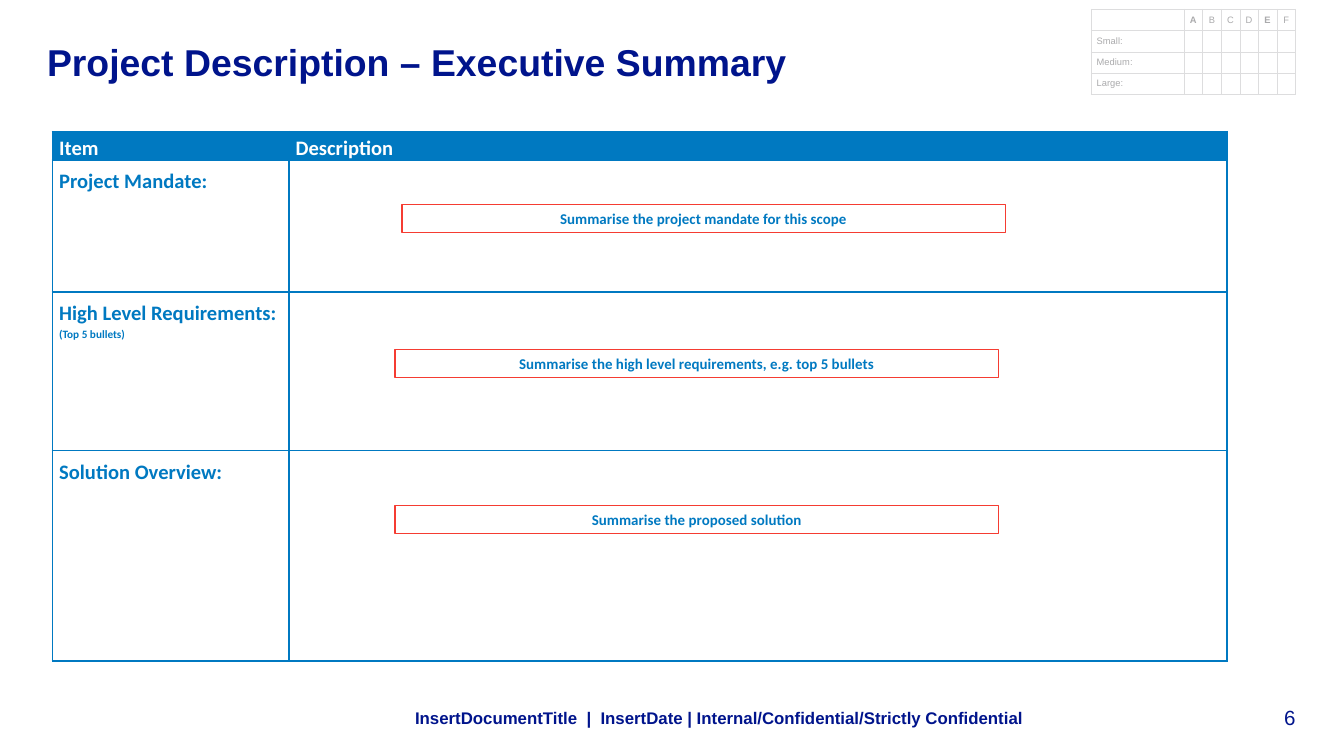
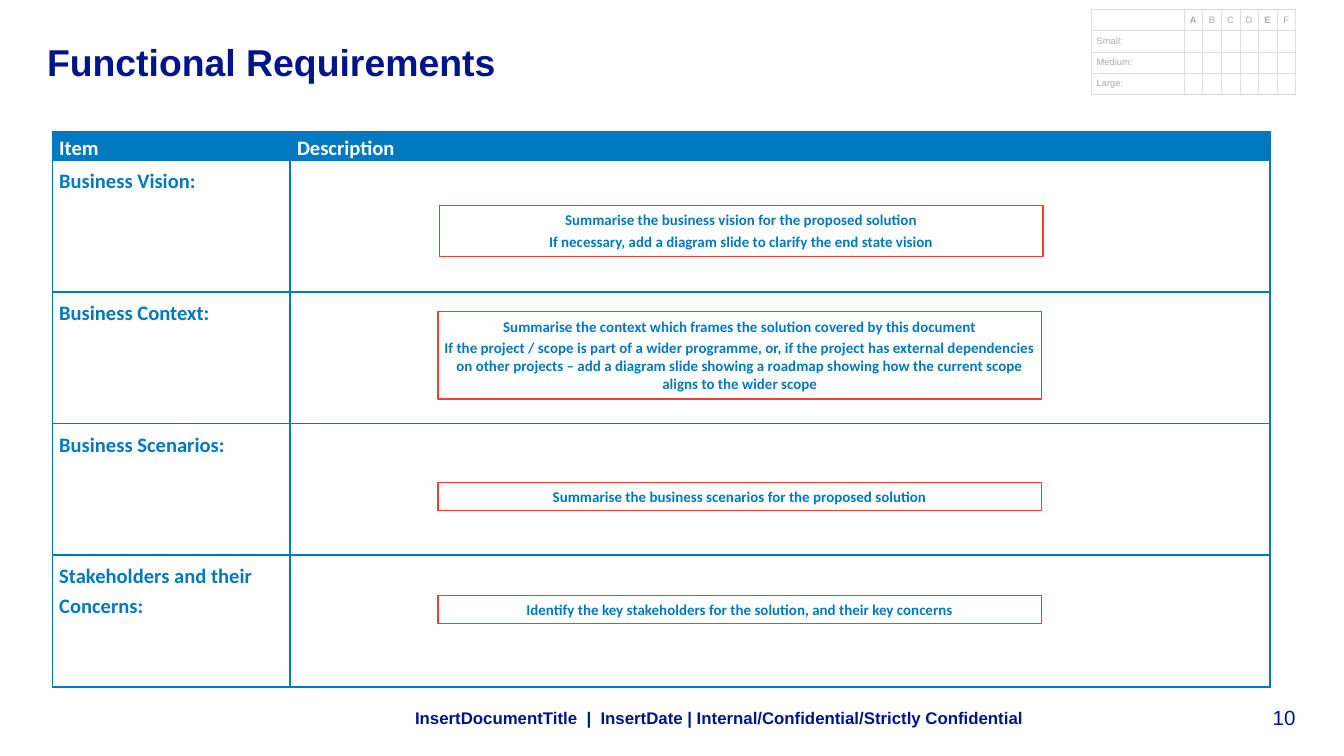
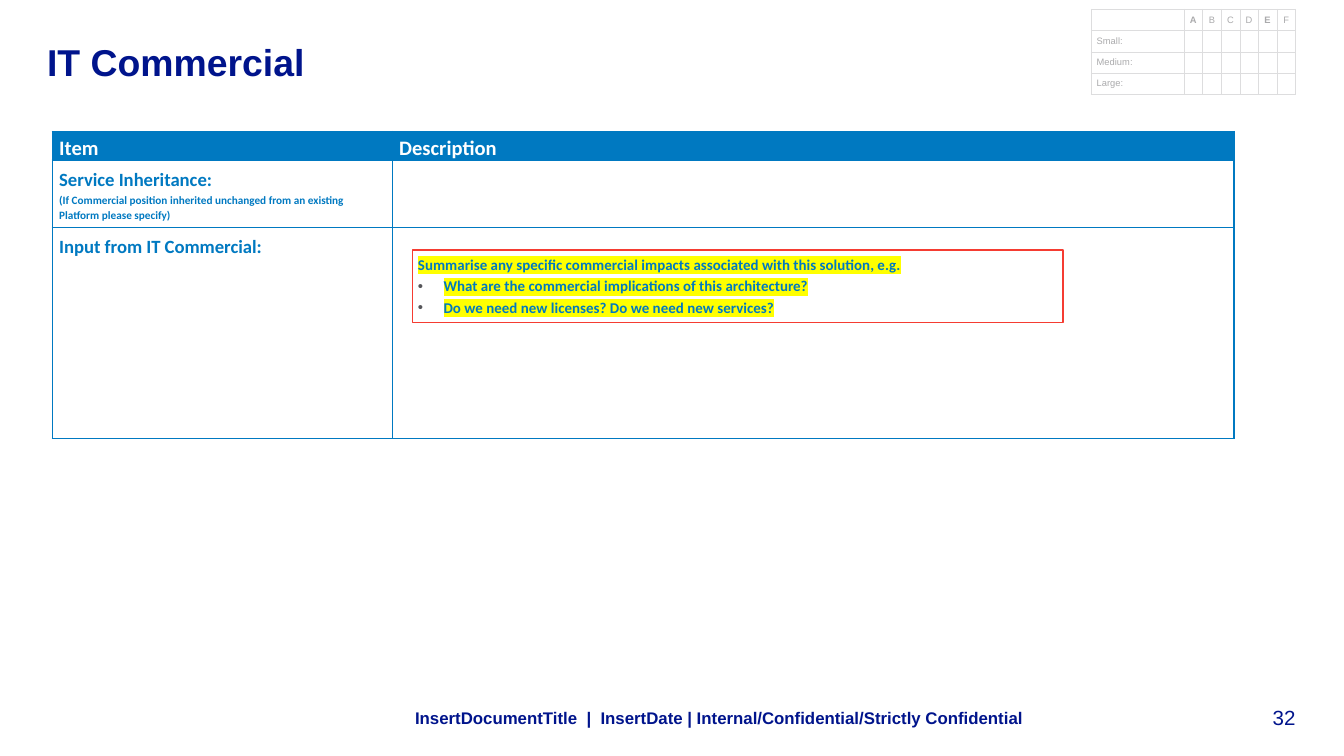
"""Build three project summary slides with shared titles, size grids and footers."""
from dataclasses import dataclass

from lxml import etree
from pptx import Presentation
from pptx.dml.color import RGBColor
from pptx.enum.shapes import MSO_SHAPE
from pptx.enum.text import MSO_ANCHOR, MSO_AUTO_SIZE, PP_ALIGN
from pptx.oxml.ns import qn
from pptx.util import Inches, Pt

RECTANGLE = MSO_SHAPE.RECTANGLE
TOP, MIDDLE, BOTTOM = MSO_ANCHOR.TOP, MSO_ANCHOR.MIDDLE, MSO_ANCHOR.BOTTOM
LEFT, CENTER, RIGHT = PP_ALIGN.LEFT, PP_ALIGN.CENTER, PP_ALIGN.RIGHT
FIT_SHAPE = MSO_AUTO_SIZE.SHAPE_TO_FIT_TEXT

COLORS = {
    "navy": "00148C",
    "blue": "0079C1",
    "red": "F53C32",
    "white": "FFFFFF",
    "grid": "DDDDDE",
    "grid_text": "AAAAAC",
    "bullet": "55555A",
    "yellow": "FFFF00",
}
HEADING_FONT, BODY_FONT = "Arial", "Calibri"
FOOTER = "InsertDocumentTitle  |  InsertDate | Internal/Confidential/Strictly Confidential"
GRID_LETTERS = "ABCDEF"
GRID_BOLD = "AE"
GRID_SIZES = ("Small:", "Medium:", "Large:")
GRID_WIDTH, GRID_HEIGHT, GRID_LABEL_WIDTH = 1.52, 0.63, 0.69


@dataclass(frozen=True)
class Style:
    """Font and paragraph settings."""
    size: float
    color: str
    font: str = BODY_FONT
    bold: bool = True
    align: PP_ALIGN = LEFT
    after: float | None = None
    spacing: float | None = None


@dataclass(frozen=True)
class Item:
    """A table row with its label, an optional small hint and a height."""
    label: str
    height: float
    hint: str = ""
    size: float = 11
    hint_on_new_paragraph: bool = True


@dataclass(frozen=True)
class Note:
    """A red-framed guidance box."""
    left: float
    top: float
    height: float
    lines: tuple[str, ...]
    width: float = 4.49
    bulleted: bool = False


@dataclass(frozen=True)
class Page:
    """The content of one slide."""
    title: str
    number: int
    table_width: float
    table_height: float
    label_width: float
    items: tuple[Item, ...]
    notes: tuple[Note, ...]
    header_height: float = 0.19


TITLE_STYLE = Style(20, "navy", HEADING_FONT)
FOOTER_STYLE = Style(9, "navy", HEADING_FONT, after=6)
NUMBER_STYLE = Style(11, "navy", HEADING_FONT, bold=False, align=RIGHT)
HEADER_STYLE = Style(11, "white", spacing=1.15)
HINT_STYLE = Style(6, "blue", spacing=1.15)
NOTE_STYLE = Style(8, "blue", align=CENTER, after=2)
LIST_STYLE = Style(8, "blue", after=2)

PAGES = (
    Page(
        "Project Description – Executive Summary", 6, 8.74, 3.94, 1.76,
        (
            Item("Project Mandate:", 0.98),
            Item("High Level Requirements:", 1.18, "(Top 5 bullets)"),
            Item("Solution Overview:", 1.57),
        ),
        (
            Note(2.99, 1.52, 0.21, ("Summarise the project mandate for this scope",)),
            Note(2.94, 2.6, 0.21,
                 ("Summarise the high level requirements, e.g. top 5 bullets",)),
            Note(2.94, 3.76, 0.21, ("Summarise the proposed solution",)),
        ),
    ),
    Page(
        "Functional Requirements", 10, 9.06, 4.14, 1.77,
        tuple(Item(label, 0.98) for label in (
            "Business Vision:", "Business Context:", "Business Scenarios:",
            "Stakeholders and their Concerns:")),
        (
            Note(3.26, 2.32, 0.65, (
                "Summarise the context which frames the solution covered by this document",
                "If the project / scope is part of a wider programme, or, if the project has "
                "external dependencies on other projects – add a diagram slide showing a "
                "roadmap showing how the current scope aligns to the wider scope")),
            Note(3.27, 1.53, 0.38, (
                "Summarise the business vision for the proposed solution",
                "If necessary, add a diagram slide to clarify the end state vision")),
            Note(3.26, 3.59, 0.21,
                 ("Summarise the business scenarios for the proposed solution",)),
            Note(3.26, 4.43, 0.21,
                 ("Identify the key stakeholders for the solution, and their key concerns",)),
        ),
    ),
    Page(
        "IT Commercial", 32, 8.79, 2.27, 2.53,
        (
            Item("Service Inheritance:", 0.39,
                 "(If Commercial position inherited unchanged from an existing "
                 "Platform please specify)", 10, hint_on_new_paragraph=False),
            Item("Input from IT Commercial:", 1.57, size=10),
        ),
        (
            Note(3.07, 1.86, 0.54, (
                "Summarise any specific commercial impacts associated with this solution, e.g.",
                "What are the commercial implications of this architecture?",
                "Do we need new licenses? Do we need new services?"),
                width=4.84, bulleted=True),
        ),
        header_height=0.2,
    ),
)


def rgb(name: str) -> RGBColor:
    """Look up a named colour."""
    return RGBColor.from_string(COLORS[name])


def add_color(parent, tag: str, name: str) -> None:
    """Append a colour element holding a named colour."""
    etree.SubElement(etree.SubElement(parent, qn(tag)), qn("a:srgbClr"), val=COLORS[name])


def format_paragraph(para, style: Style) -> None:
    """Apply a style to a whole paragraph."""
    para.alignment = style.align
    if style.after is not None:
        para.space_after = Pt(style.after)
    if style.spacing is not None:
        para.line_spacing = style.spacing
    font = para.font
    font.name, font.size, font.bold = style.font, Pt(style.size), style.bold
    font.color.rgb = rgb(style.color)


def add_bullet(para) -> None:
    """Give a paragraph a hanging bullet."""
    properties = para._p.get_or_add_pPr()
    properties.set("marL", str(Inches(0.19)))
    properties.set("indent", str(-Inches(0.19)))
    add_color(properties, "a:buClr", "bullet")
    etree.SubElement(properties, qn("a:buFont"), typeface=HEADING_FONT)
    etree.SubElement(properties, qn("a:buChar"), char="•")


def set_insets(target, horizontal: float, vertical: float) -> None:
    """Set the margins of a text frame or a table cell."""
    target.margin_left = target.margin_right = Inches(horizontal)
    target.margin_top = target.margin_bottom = Inches(vertical)


def add_text(page, area: tuple[float, ...], text: str, style: Style,
             anchor: MSO_ANCHOR, insets: tuple[float, float] = (0, 0)) -> None:
    """Add a one-paragraph text box."""
    frame = page.shapes.add_textbox(*map(Inches, area)).text_frame
    frame.word_wrap = True
    frame.vertical_anchor = anchor
    set_insets(frame, *insets)
    frame.text = text
    format_paragraph(frame.paragraphs[0], style)


def add_plain_table(page, area: tuple[float, ...], columns: list[float], rows: list[float]):
    """Add a table without banding and with the given column and row sizes."""
    holder = page.shapes.add_table(len(rows), len(columns), *map(Inches, area))
    table = holder.table
    table.first_row = table.horz_banding = False
    for column, width in zip(table.columns, columns):
        column.width = Inches(width)
    for row, height in zip(table.rows, rows):
        row.height = Inches(height)
    holder.height = Inches(area[3])
    return table


def dress_cell(cell, color: str, widths: tuple[float, ...], fill: str | None = None) -> None:
    """Set left, right, top and bottom borders and the fill of a cell."""
    properties = cell._tc.get_or_add_tcPr()
    for side, width in zip("LRTB", widths):
        line = etree.SubElement(properties, qn(f"a:ln{side}"), w=str(Pt(width)))
        add_color(line, "a:solidFill", color)
    if fill:
        cell.fill.solid()
        cell.fill.fore_color.rgb = rgb(fill)
    else:
        cell.fill.background()


def write_cell(cell, text: str, style: Style) -> None:
    """Write one paragraph in a cell, keeping an empty one small."""
    para = cell.text_frame.paragraphs[0]
    if text:
        para.text = text
        format_paragraph(para, style)
    else:
        etree.SubElement(para._p, qn("a:endParaRPr"), sz=str(int(style.size * 100)))


def add_size_grid(page) -> None:
    """Draw the small grid of sizes in the top right corner."""
    letter_width = (GRID_WIDTH - GRID_LABEL_WIDTH) / len(GRID_LETTERS)
    columns = [GRID_LABEL_WIDTH] + [letter_width] * len(GRID_LETTERS)
    blanks = [""] * len(GRID_LETTERS)
    content = [["", *GRID_LETTERS]] + [[size, *blanks] for size in GRID_SIZES]
    rows = [GRID_HEIGHT / len(content)] * len(content)
    table = add_plain_table(page, (8.12, 0.07, GRID_WIDTH, GRID_HEIGHT), columns, rows)
    for row, texts in enumerate(content):
        for column, text in enumerate(texts):
            cell = table.cell(row, column)
            set_insets(cell, 0.04, 0)
            cell.vertical_anchor = MIDDLE
            align = LEFT if column == 0 else CENTER
            style = Style(5, "grid_text", HEADING_FONT, text in GRID_BOLD, align, after=6)
            write_cell(cell, text, style)
            widths = (0.5 if column == 0 else 0.25, 0.25,
                      0.5 if row <= 1 else 0.25, 0.5 if row == 0 else 0.25)
            dress_cell(cell, "grid", widths)


def write_label(cell, item: Item) -> None:
    """Write an item's label and hint in its cell."""
    style = Style(item.size, "blue", spacing=1.15)
    write_cell(cell, item.label, style)
    if not item.hint:
        return
    frame = cell.text_frame
    if item.hint_on_new_paragraph:
        para = frame.add_paragraph()
        para.text = item.hint
        format_paragraph(para, HINT_STYLE)
    else:
        para = frame.paragraphs[0]
        para.runs[0].font.size = Pt(item.size)
        para.add_line_break()
        etree.SubElement(para._p[-1], qn("a:rPr"), sz=str(int(item.size * 100)))
        span = para.add_run()
        span.text = item.hint
        span.font.size = Pt(HINT_STYLE.size)


def add_item_table(page, content: Page) -> None:
    """Draw the table of items and descriptions."""
    area = (0.39, 0.98, content.table_width, content.table_height)
    columns = [content.label_width, content.table_width - content.label_width]
    rows = [content.header_height] + [item.height for item in content.items]
    table = add_plain_table(page, area, columns, rows)
    for column, heading in enumerate(("Item", "Description")):
        cell = table.cell(0, column)
        set_insets(cell, 0.05, 0)
        write_cell(cell, heading, HEADER_STYLE)
        dress_cell(cell, "blue", (1, 1, 1, 1), "blue")
    for row, item in enumerate(content.items, start=1):
        label, description = table.cell(row, 0), table.cell(row, 1)
        write_label(label, item)
        write_cell(description, "", HEADER_STYLE)
        for cell in (label, description):
            set_insets(cell, 0.05, 0.04)
            dress_cell(cell, "blue", (1, 1, 1, 1))


def add_note(page, note: Note) -> None:
    """Draw a guidance box, highlighted when it holds a list."""
    area = (note.left, note.top, note.width, note.height)
    box = page.shapes.add_shape(RECTANGLE, *map(Inches, area))
    box.shadow.inherit = False
    box.fill.background()
    box.line.color.rgb = rgb("red")
    box.line.width = Pt(0.75)
    frame = box.text_frame
    frame.word_wrap = True
    frame.auto_size = FIT_SHAPE
    frame.vertical_anchor = TOP
    set_insets(frame, 0.04, 0.04)
    for index, line in enumerate(note.lines):
        para = frame.add_paragraph() if index else frame.paragraphs[0]
        span = para.add_run()
        span.text = line
        if note.bulleted:
            add_color(span._r.get_or_add_rPr(), "a:highlight", "yellow")
            if index:
                add_bullet(para)
        format_paragraph(para, LIST_STYLE if note.bulleted else NOTE_STYLE)


def add_page(deck, content: Page) -> None:
    """Add one slide with its shared parts, table and notes."""
    page = deck.slides.add_slide(deck.slide_layouts[6])
    add_text(page, (9.06, 5.24, 0.58, 0.19), str(content.number), NUMBER_STYLE, BOTTOM)
    add_size_grid(page)
    add_text(page, (0.35, 0.29, 7.08, 0.47), content.title, TITLE_STYLE, TOP)
    add_item_table(page, content)
    add_text(page, (2.99, 5.21, 6.33, 0.26), FOOTER, FOOTER_STYLE, MIDDLE, (0.1, 0.05))
    for note in content.notes:
        add_note(page, note)


def main() -> None:
    """Build and save the deck."""
    deck = Presentation()
    deck.slide_width, deck.slide_height = Inches(10), Inches(10 * 9 / 16)
    for content in PAGES:
        add_page(deck, content)
    deck.save("out.pptx")


if __name__ == "__main__":
    main()
